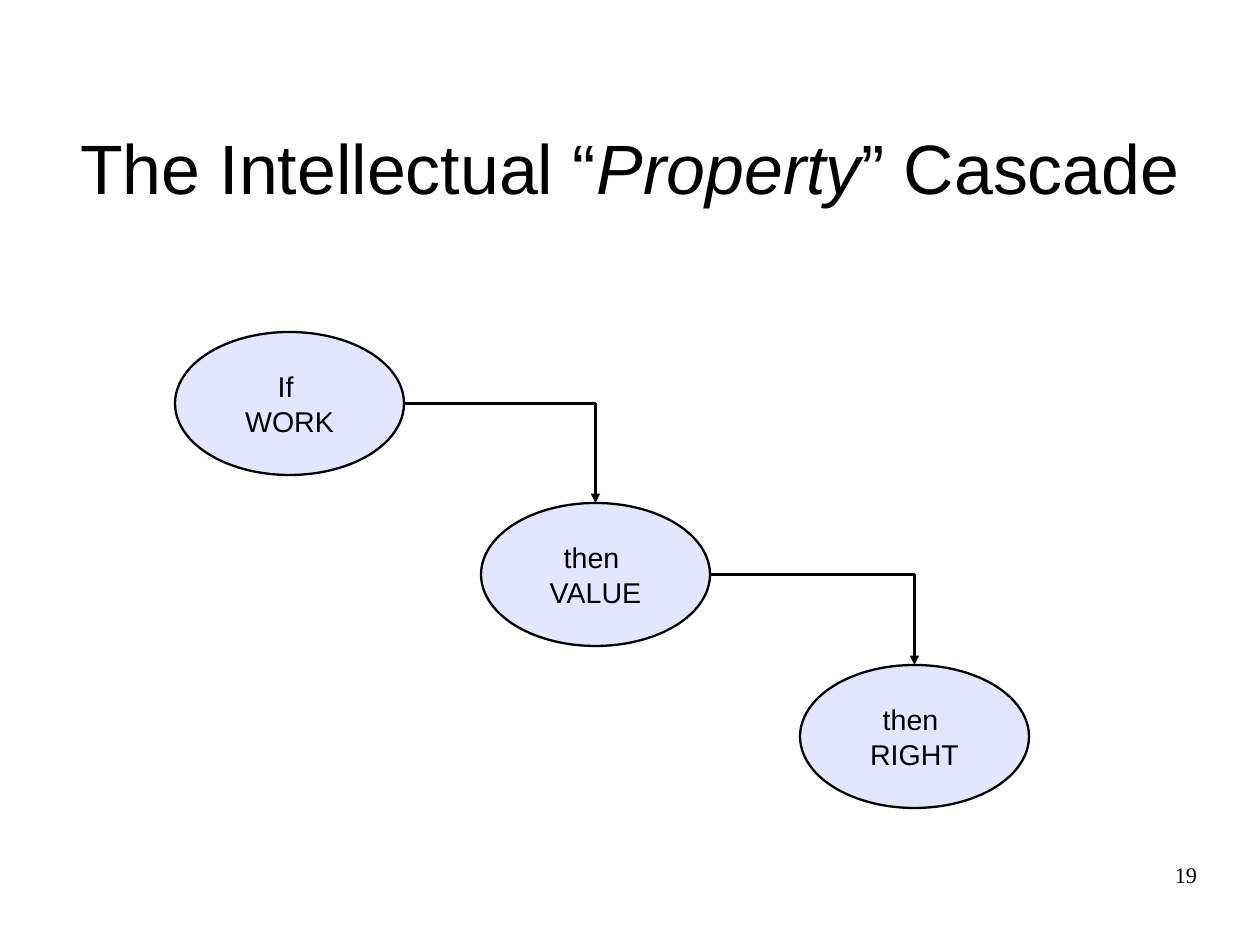
import dataclasses

import lxml.etree
import pptx
import pptx.dml.color
import pptx.enum.shapes
import pptx.enum.text
import pptx.oxml.ns
import pptx.util

PX = 8000  # EMU
SLIDE_SIZE = (1260, 945)
STEP_SIZE = (229, 143)
STEPS = [
    (175, 332, "If \nWORK"),
    (481, 503, "then \nVALUE"),
    (800, 665, "then \nRIGHT"),
]
ELLIPSE_TOP, ELLIPSE_RIGHT = 0, 6  # connection sites


@dataclasses.dataclass(frozen=True)
class Theme:
    ink: str = "000000"
    step_fill: str = "E2E6FF"
    sans: str = "Arial"
    serif: str = "Times New Roman"
    title_size: int = 44
    step_size: int = 18
    number_size: int = 14
    line_width: float = 1.45


THEME = Theme()
ALIGN = pptx.enum.text.PP_ALIGN
ANCHOR = pptx.enum.text.MSO_ANCHOR


def px(*lengths):
    return [pptx.util.Emu(length * PX) for length in lengths]


def rgb(value):
    return pptx.dml.color.RGBColor.from_string(value)


def format_frame(frame, margins, anchor):
    frame.word_wrap = True
    frame.vertical_anchor = anchor
    side, end = px(*margins)
    frame.margin_left = frame.margin_right = side
    frame.margin_top = frame.margin_bottom = end


def format_runs(frame, font_name, size, align):
    for paragraph in frame.paragraphs:
        paragraph.alignment = align
        for run in paragraph.runs:
            run.font.name = font_name
            run.font.size = pptx.util.Pt(size)
            run.font.color.rgb = rgb(THEME.ink)


def format_line(line):
    line.color.rgb = rgb(THEME.ink)
    line.width = pptx.util.Pt(THEME.line_width)


def set_title(slide, parts):
    """Fill the title from (text, italic) parts."""
    title = slide.shapes.title
    title.left, title.top, title.width, title.height = px(63, 93, 1134, 147)
    frame = title.text_frame
    format_frame(frame, (0, 0), ANCHOR.MIDDLE)
    for text, italic in parts:
        run = frame.paragraphs[0].add_run()
        run.text = text
        run.font.italic = italic
    format_runs(frame, THEME.sans, THEME.title_size, ALIGN.CENTER)


def add_step(slide, left, top, text):
    step = slide.shapes.add_shape(
        pptx.enum.shapes.MSO_SHAPE.OVAL, *px(left, top, *STEP_SIZE))
    step.shadow.inherit = False
    step.fill.solid()
    step.fill.fore_color.rgb = rgb(THEME.step_fill)
    format_line(step.line)
    format_frame(step.text_frame, (13, 7), ANCHOR.MIDDLE)
    step.text_frame.text = text
    format_runs(step.text_frame, THEME.sans, THEME.step_size, ALIGN.CENTER)
    return step


def add_cascade_arrow(slide, source, target):
    """Run from the right of source to the top of target, with one bend."""
    arrow = slide.shapes.add_connector(
        pptx.enum.shapes.MSO_CONNECTOR.ELBOW,
        source.left + source.width, source.top + source.height // 2,
        target.left + target.width // 2, target.top)
    format_line(arrow.line)
    qn = pptx.oxml.ns.qn
    properties = arrow._element.spPr
    properties.find(qn("a:prstGeom")).set("prst", "bentConnector2")
    lxml.etree.SubElement(
        properties.find(qn("a:ln")), qn("a:tailEnd"), type="triangle")
    lxml.etree.SubElement(properties, qn("a:effectLst"))
    links = arrow._element.find(".//" + qn("p:cNvCxnSpPr"))
    for tag, step, site in (("a:stCxn", source, ELLIPSE_RIGHT),
                            ("a:endCxn", target, ELLIPSE_TOP)):
        lxml.etree.SubElement(
            links, qn(tag), id=str(step.shape_id), idx=str(site))


def add_page_number(slide, number):
    page_number = slide.shapes.add_textbox(*px(903, 861, 294, 65))
    frame = page_number.text_frame
    format_frame(frame, (0, 0), ANCHOR.TOP)
    frame.text = number
    format_runs(frame, THEME.serif, THEME.number_size, ALIGN.RIGHT)


def main():
    deck = pptx.Presentation()
    deck.slide_width, deck.slide_height = px(*SLIDE_SIZE)
    slide = deck.slides.add_slide(deck.slide_layouts[5])
    set_title(slide, [("The Intellectual “", False), ("Property", True),
                      ("” Cascade", False)])
    steps = [add_step(slide, *step) for step in STEPS]
    for source, target in zip(steps, steps[1:]):
        add_cascade_arrow(slide, source, target)
    add_page_number(slide, "19")
    deck.save("out.pptx")


if __name__ == "__main__":
    main()
